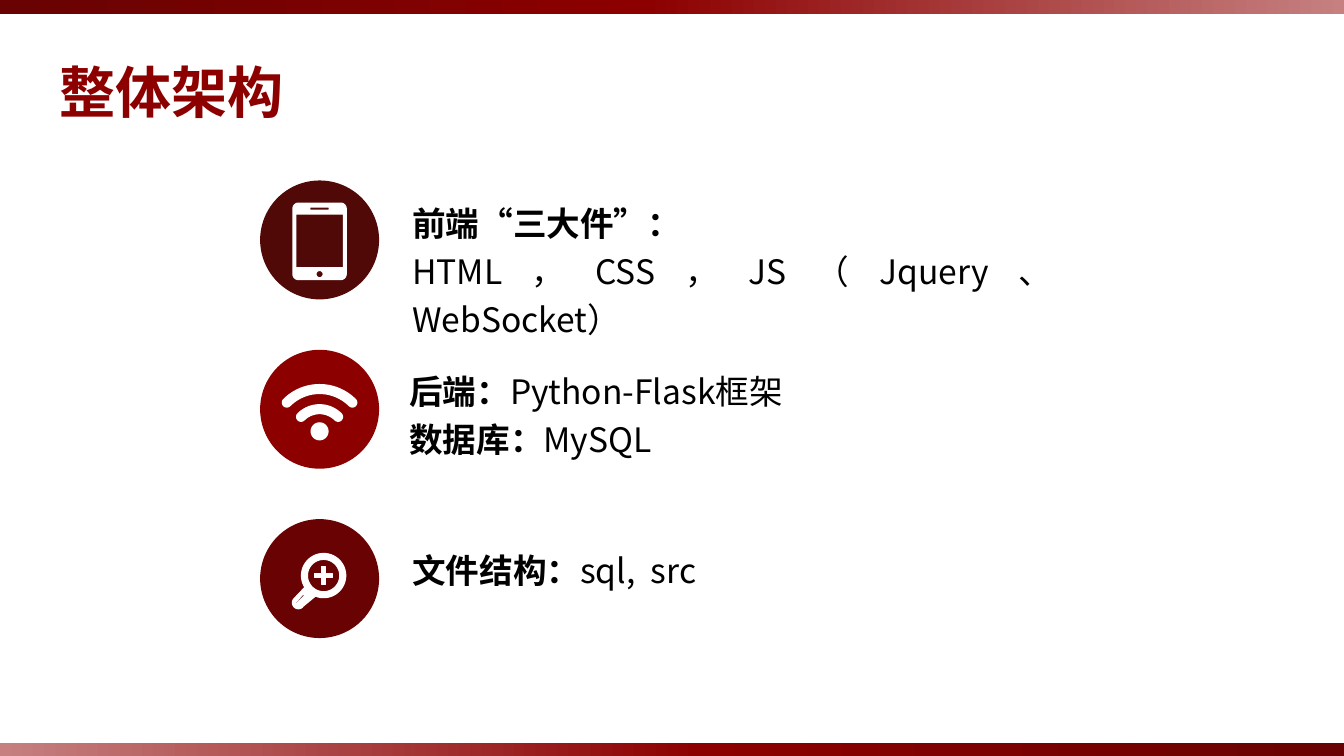
from copy import deepcopy
from math import cos, radians, sin

from lxml import etree
from pptx import Presentation
from pptx import util as u
from pptx.dml import color
from pptx.enum import shapes, text
from pptx.oxml import ns

PX = 9144
FONT = "Noto Sans CJK SC"
COLORS = {
    "red": "8C0000",
    "dark": "690202",
    "darkest": "510907",
    "pale": "C68080",
    "white": "FFFFFF",
    "black": "000000",
}
CENTER = 317


def rgb(name):
    """Look up a named colour."""
    return color.RGBColor.from_string(COLORS[name])


def px(*lengths):
    """Turn px lengths into EMU."""
    return [u.Emu(length * PX) for length in lengths]


def add_shape(page, kind, area, fill=None):
    """Add a preset shape without line or shadow."""
    shape = page.shapes.add_shape(kind, *px(*area))
    shape.shadow.inherit = False
    shape.line.fill.background()
    if fill:
        shape.fill.solid()
        shape.fill.fore_color.rgb = rgb(fill)
    return shape


def add_bar(page, left, top, angle):
    """Add a full-width bar that fades from dark to pale red."""
    bar = add_shape(page, shapes.MSO_SHAPE.RECTANGLE, (left, top, 1334, 15))
    bar.fill.gradient()
    bar.fill.gradient_angle = angle
    stop_list = bar.element.find(".//" + ns.qn("a:gsLst"))
    stop_list.append(deepcopy(stop_list[0]))
    stops = ((0, "dark"), (0.48, "red"), (1, "pale"))
    for stop, (position, name) in zip(bar.fill.gradient_stops, stops):
        stop.position = position
        stop.color.rgb = rgb(name)


def add_text(page, area, paragraphs, size=24, fill="black", line=34.5,
             align=text.PP_ALIGN.JUSTIFY, wrap=True):
    """Add a text box from paragraphs of (words, bold) spans."""
    box = page.shapes.add_textbox(*px(*area))
    frame = box.text_frame
    frame.word_wrap = wrap
    frame.auto_size = text.MSO_AUTO_SIZE.SHAPE_TO_FIT_TEXT
    for index, spans in enumerate(paragraphs):
        para = frame.add_paragraph() if index else frame.paragraphs[0]
        para.alignment = align
        para.line_spacing = u.Pt(line)
        for words, bold in spans:
            span = para.add_run()
            span.text = words
            span.font.size = u.Pt(size)
            span.font.bold = bold
            span.font.name = FONT
            span.font.color.rgb = rgb(fill)
            east_asian = etree.SubElement(span.font._element, ns.qn("a:ea"))
            east_asian.set("typeface", FONT)


def arc(x, y, radius, start, end, steps=24):
    """List points along an arc, in degrees clockwise from the right."""
    angles = [radians(start + (end - start) * i / steps) for i in range(steps + 1)]
    return [(x + radius * cos(a), y + radius * sin(a)) for a in angles]


def rectangle(left, top, right, bottom):
    """List the corners of a rectangle."""
    return [(left, top), (right, top), (right, bottom), (left, bottom)]


def phone():
    """Outline a phone with its speaker, screen and button cut out."""
    corners = ((338, 207, 270), (338, 272, 0), (296, 272, 90), (296, 207, 180))
    body = [point for x, y, start in corners
            for point in arc(x, y, 6, start, start + 90, 6)]
    return [body, rectangle(308, 206, 326, 208), rectangle(294, 213, 340, 265),
            arc(CENTER, 272, 3, 0, 360)]


def wave(radius, y=432, half=5):
    """Outline one round-ended wireless wave."""
    start_cap, end_cap = arc(CENTER, y, radius, 225, 315, 1)
    return (arc(CENTER, y, radius + half, 225, 315)
            + arc(*end_cap, half, 315, 495, 12)
            + arc(CENTER, y, radius - half, 315, 225)
            + arc(*start_cap, half, 45, 225, 12))


def wireless():
    """Outline a wireless signal with two waves and a dot."""
    return [wave(46), wave(26), arc(CENTER, 428, 9, 0, 360)]


def magnifier():
    """Outline a magnifier with a plus sign in its lens."""
    x, y, arm, half = 321, 571, 9, 2
    body = (arc(x, y, 22, 148, 472, 48) + [(311, 593), (300, 602)]
            + arc(296, 598, 6, 45, 225, 12))
    slit = [(293, 598), (301, 589), (302, 591), (295, 598), (295, 600)]
    quarter = [(half, -half), (half, -arm), (-half, -arm), (-half, -half),
               (-arm, -half), (-arm, half), (-half, half), (-half, arm),
               (half, arm), (half, half), (arm, half), (arm, -half)]
    plus = [(x + across, y + down) for across, down in quarter]
    return [body, arc(x, y, 16, 0, 360, 48), slit, plus]


def add_icon(page, contours, outlined=False):
    """Draw closed contours as one white freeform."""
    scaled = [[(x * PX, y * PX) for x, y in contour] for contour in contours]
    builder = page.shapes.build_freeform(*scaled[0][0], scale=1)
    for index, contour in enumerate(scaled):
        if index:
            builder.move_to(*contour[0])
        builder.add_line_segments(contour[1:], close=True)
    icon = builder.convert_to_shape()
    icon.shadow.inherit = False
    icon.fill.solid()
    icon.fill.fore_color.rgb = rgb("white")
    if outlined:
        icon.line.color.rgb = rgb("white")
        icon.line.width = u.Pt(0.75)
    else:
        icon.line.fill.background()


def main():
    """Build the architecture slide."""
    deck = Presentation()
    deck.slide_width, deck.slide_height = px(1333, 750)
    page = deck.slides.add_slide(deck.slide_layouts[6])

    add_text(page, (49, 47, 245, 77), [[("整体架构", True)]], size=40, fill="red",
             line=52, align=text.PP_ALIGN.LEFT, wrap=False)
    add_bar(page, -1, -1, 0)
    add_bar(page, 0, 737, 180)

    rows = [
        ("darkest", phone(), (399, 188, 654, 103),
         [[("前端“三大件”：", True)],
          [("HTML，CSS，JS（Jquery、WebSocket）", False)]]),
        ("red", wireless(), (396, 355, 509, 103),
         [[("后端：", True), ("Python-Flask框架", False)],
          [("数据库：", True), ("MySQL", False)]]),
        ("dark", magnifier(), (399, 533, 509, 54),
         [[("文件结构：", True), ("sql,  src", False)]]),
    ]
    for index, (fill, contours, area, paragraphs) in enumerate(rows):
        add_shape(page, shapes.MSO_SHAPE.OVAL, (258, 179 + 168 * index, 118, 118), fill)
        add_icon(page, contours, outlined=fill == "dark")
        add_text(page, area, paragraphs)

    deck.save("out.pptx")


if __name__ == "__main__":
    main()
